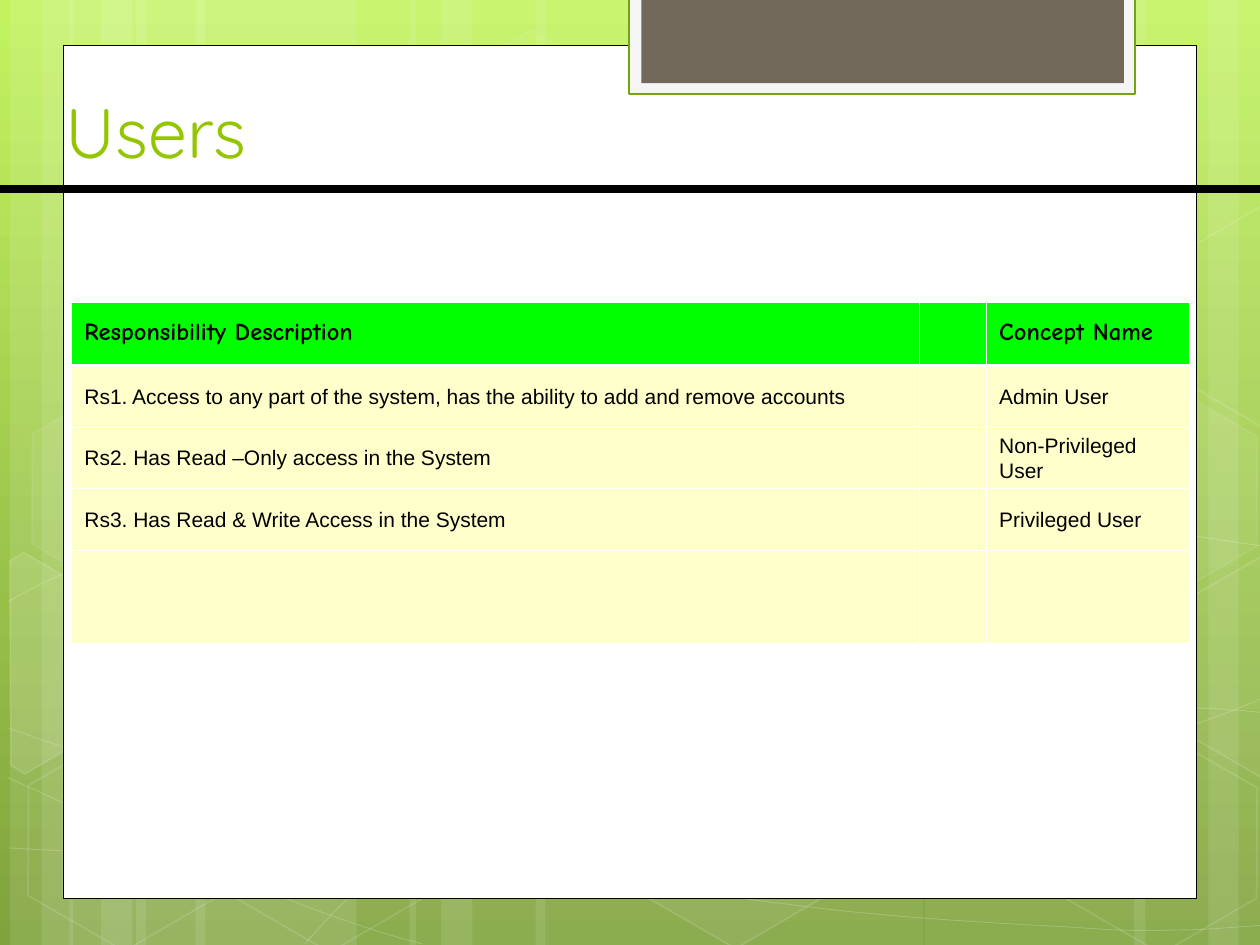
from math import cos, radians, sin

from lxml.etree import SubElement
from pptx import Presentation
from pptx.dml.color import RGBColor
from pptx.enum.shapes import MSO_CONNECTOR as Connector, MSO_SHAPE as Preset
from pptx.enum.text import MSO_ANCHOR as Anchor, PP_ALIGN as Align
from pptx.oxml import parse_xml
from pptx.oxml.ns import nsdecls, qn
from pptx.util import Inches, Pt

COLORS = {
    "white": "FFFFFF", "black": "000000", "top": "C2F35F", "bottom": "80A33D",
    "tab": "F5F5F5", "tab_line": "74A510", "tab_core": "71685A",
    "title": "94C600", "header": "00FF00", "body": "FFFFCC",
}
TITLE = "Users"
ROWS = [
    ("Responsibility Description", "", "Concept Name"),
    ("Rs1. Access to any part of the system, has the ability to add and remove accounts", "", "Admin User"),
    ("Rs2. Has Read –Only access in the System", "", "Non-Privileged User"),
    ("Rs3. Has Read & Write Access in the System", "", "Privileged User"),
    ("", "", ""),
]
COLUMN_WIDTHS = (6.73, 0.53, 1.61)
ROW_HEIGHTS = (0.5, 0.49, 0.49, 0.49, 0.74)
HEADER_FONT = {"name": "Comic Neue", "size": Pt(14), "bold": True}
BODY_FONT = {"name": "Arial", "size": Pt(12), "bold": False}
TITLE_FONT = {"name": "Quicksand", "size": Pt(40), "bold": False}

TILT = 30
STRIPES = [
    (1.08, 1.75, 0), (0.08, 0.5, 0), (0.33, 0.83, 0), (1.55, 1.75, 0), (0.55, 0.5, 0), (0.8, 0.83, 0),
    (7.34, 1.75, 180), (9.59, 0.5, 180), (9, 0.83, 180), (4.25, 3.08, 0), (3.25, 0.5, 0), (3.5, 0.83, 0),
]
CURVES = [
    [(0.07, 6.73), (0.61, 6.76), (1.15, 6.79), (1.9, 6.78), (2.65, 6.77), (3.58, 6.75), (4.58, 6.65),
     (5.58, 6.55), (7, 6.36), (7.92, 6.17), (8.83, 5.98), (9.77, 5.68), (10.07, 5.51)],
    [(0.07, 4.77), (0.36, 4.61), (0.65, 4.46), (1.21, 4.31), (1.78, 4.16), (2.59, 3.94), (3.47, 3.87),
     (4.36, 3.8), (5.44, 3.79), (6.54, 3.87), (7.64, 3.95), (9.47, 4.26), (10.07, 4.34)],
    [(0.06, 6.17), (1.27, 6.72), (2.47, 7.27), (3.35, 7.49)],
    [(0.07, 5.78), (0.38, 5.89), (0.7, 6), (1.28, 6.16), (1.86, 6.31), (2.73, 6.56), (3.57, 6.73),
     (4.4, 6.9), (5.45, 7.08), (6.28, 7.18), (7.11, 7.29), (8, 7.33), (8.53, 7.36),
     (9.06, 7.4), (9.19, 7.38), (9.45, 7.38), (9.71, 7.37), (9.89, 7.35), (10.07, 7.34)],
    [(2.42, 7.49), (2.6, 7.29), (2.78, 7.09), (3.02, 6.91), (3.26, 6.72), (3.6, 6.53), (3.88, 6.39),
     (4.16, 6.25), (4.33, 6.19), (4.69, 6.09), (5.06, 5.99), (5.73, 5.85), (6.08, 5.78),
     (6.44, 5.71), (6.49, 5.71), (6.8, 5.69), (7.11, 5.66), (7.6, 5.63), (7.94, 5.62),
     (8.29, 5.61), (8.86, 5.62), (8.86, 5.62), (9.08, 5.62), (9.31, 5.62), (9.53, 5.62),
     (9.71, 5.63), (9.88, 5.64), (9.97, 5.65), (10.06, 5.66), (10.03, 5.65), (10.06, 5.66)],
]
HEXAGONS = [
    (3.34, 0.36, 4, 8), (4.96, 5.89, 6, 12), (0.11, 5.91, 0, 12), (0.14, 3.12, 7, 8), (1.74, 5.92, 0, 12),
    (7.53, 4.53, 10, 12), (8.34, 5.93, 0, 12), (8.34, 3.14, 7, 8),
]
CUT_HEXAGONS = [
    ([(0.08, 4.45), (0.19, 4.38), (0.96, 4.83), (0.95, 5.7), (0.2, 6.14), (0.09, 6.07)], (0.36, 5.36), 10),
    ([(9.26, 4.85), (10.02, 4.41), (10.09, 4.46), (10.09, 6.13), (10.02, 6.17), (9.26, 5.73)], (9.85, 5.2), 4),
    ([(9.26, 2.07), (10.02, 1.63), (10.1, 1.68), (10.09, 3.35), (10.02, 3.39), (9.26, 2.95)], (9.85, 2.41), 0),
]
PANELS = [
    ((0.5, 0.36, 9, 6.77), "white", "black", 0.5),
    ((4.99, -0.02, 4.02, 0.77), "tab", "tab_line", 1.25),
    ((5.09, -0.02, 3.83, 0.68), "tab_core", None, 0),
]


def rgb(name):
    return RGBColor.from_string(COLORS[name])


def paint(fill, color, opacity=100):
    if not color or not opacity:
        fill.background()
        return
    fill.solid()
    fill.fore_color.rgb = rgb(color)
    if opacity < 100:
        for node in fill._xPr.iter(qn("a:srgbClr")):
            SubElement(node, qn("a:alpha")).set("val", str(opacity * 1000))


def format_shape(shape, fill, line, width=0, fill_opacity=100, line_opacity=100):
    shape.shadow.inherit = False
    paint(shape.fill, fill, fill_opacity)
    paint(shape.line.fill, line, line_opacity)
    if line:
        shape.line.width = Pt(width)


def add_preset(shapes, preset, box):
    return shapes.add_shape(preset, *map(Inches, box))


def add_outline(shapes, points, close):
    points = [(Inches(x), Inches(y)) for x, y in points]
    builder = shapes.build_freeform(*points[0])
    builder.add_line_segments(points[1:], close=close)
    return builder.convert_to_shape()


def add_curve(shapes, points):
    curve = add_outline(shapes, points, False)
    segments = list(curve.element.iter(qn("a:lnTo")))
    for start in range(0, len(segments), 3):
        first, *others = segments[start:start + 3]
        first.tag = qn("a:cubicBezTo")
        for segment in others:
            first.append(segment[0])
            segment.getparent().remove(segment)
    return curve


def turn_back(points, center):
    cosine, sine = cos(radians(TILT)), sin(radians(TILT))
    offsets = [(x - center[0], y - center[1]) for x, y in points]
    return [(center[0] + x * cosine + y * sine, center[1] + y * cosine - x * sine) for x, y in offsets]


def write(paragraph, text, font, color):
    run = paragraph.add_run()
    run.text = text
    for name, value in font.items():
        setattr(run.font, name, value)
    run.font.color.rgb = rgb(color)


def add_backdrop(slide):
    fill = slide.background.fill
    fill.gradient()
    fill.gradient_angle = 270
    for stop, color, position in zip(fill.gradient_stops, ("top", "bottom"), (0, 1)):
        stop.color.rgb = rgb(color)
        stop.position = position
    shapes = slide.shapes.add_group_shape().shapes
    for left, width, rotation in STRIPES:
        stripe = add_preset(shapes, Preset.RECTANGLE, (left, 0, width, 7.5))
        stripe.rotation = rotation
        format_shape(stripe, "white", None, fill_opacity=10)
    for points in CURVES:
        format_shape(add_curve(shapes, points), None, "white", 0.5, line_opacity=20)
    for left, top, opacity, line_opacity in HEXAGONS:
        hexagon = add_preset(shapes, Preset.HEXAGON, (left, top, 1.75, 1.52))
        hexagon.adjustments[0] = 0.285
        hexagon.rotation = TILT
        format_shape(hexagon, "white", "white", 1, opacity, line_opacity)
    for points, center, opacity in CUT_HEXAGONS:
        cut_hexagon = add_outline(shapes, turn_back(points, center), True)
        cut_hexagon.rotation = TILT
        format_shape(cut_hexagon, "white", "white", 1, opacity, 12)


def add_panels(slide):
    for box, fill, line, width in PANELS:
        format_shape(add_preset(slide.shapes, Preset.RECTANGLE, box), fill, line, width)
    rule = slide.shapes.add_connector(Connector.STRAIGHT, 0, Inches(1.5), Inches(10), Inches(1.5))
    paint(rule.line.fill, "black")
    rule.line.width = Pt(4.5)
    SubElement(rule.element.spPr, qn("a:effectLst"))


def add_title(slide):
    title = slide.shapes.title
    slide.shapes.element.append(title.element)
    box = {"left": 0.42, "top": 0.17, "width": 9.38, "height": 1.25}
    for name, value in box.items():
        setattr(title, name, Inches(value))
    title.text_frame.vertical_anchor = Anchor.BOTTOM
    paragraph = title.text_frame.paragraphs[0]
    paragraph.alignment = Align.LEFT
    write(paragraph, TITLE, TITLE_FONT, "title")


def set_borders(cell, widths):
    for index, (side, width) in enumerate(widths.items()):
        border = parse_xml(
            f'<a:ln{side} {nsdecls("a")} w="{Pt(width)}"><a:solidFill>'
            f'<a:srgbClr val="{COLORS["white"]}"/></a:solidFill></a:ln{side}>')
        cell._tc.get_or_add_tcPr().insert(index, border)


def add_users_table(slide):
    box = (0.57, 2.4, sum(COLUMN_WIDTHS), sum(ROW_HEIGHTS))
    table = slide.shapes.add_table(len(ROWS), len(COLUMN_WIDTHS), *map(Inches, box)).table
    table.first_row = table.horz_banding = False
    for column, width in zip(table.columns, COLUMN_WIDTHS):
        column.width = Inches(width)
    for row_index, (row, height) in enumerate(zip(ROWS, ROW_HEIGHTS)):
        table.rows[row_index].height = Inches(height)
        for column_index, text in enumerate(row):
            cell = table.cell(row_index, column_index)
            paint(cell.fill, "body" if row_index else "header")
            set_borders(cell, {"L": 0.45, "R": 0.45, "T": 1.47 if row_index == 1 else 0.45,
                               "B": 0.45 if row_index else 1.47})
            cell.vertical_anchor = Anchor.MIDDLE
            if text:
                paragraph = cell.text_frame.paragraphs[0]
                paragraph.line_spacing = Pt(14)
                paragraph.alignment = Align.JUSTIFY if column_index == 2 else Align.LEFT
                write(paragraph, text, BODY_FONT if row_index else HEADER_FONT, "black")


def main():
    """Build the users slide and save it."""
    presentation = Presentation()
    presentation.slide_width, presentation.slide_height = Inches(10), Inches(7.5)
    slide = presentation.slides.add_slide(presentation.slide_layouts[5])
    for add_part in (add_backdrop, add_panels, add_title, add_users_table):
        add_part(slide)
    presentation.save("out.pptx")


if __name__ == "__main__":
    main()
